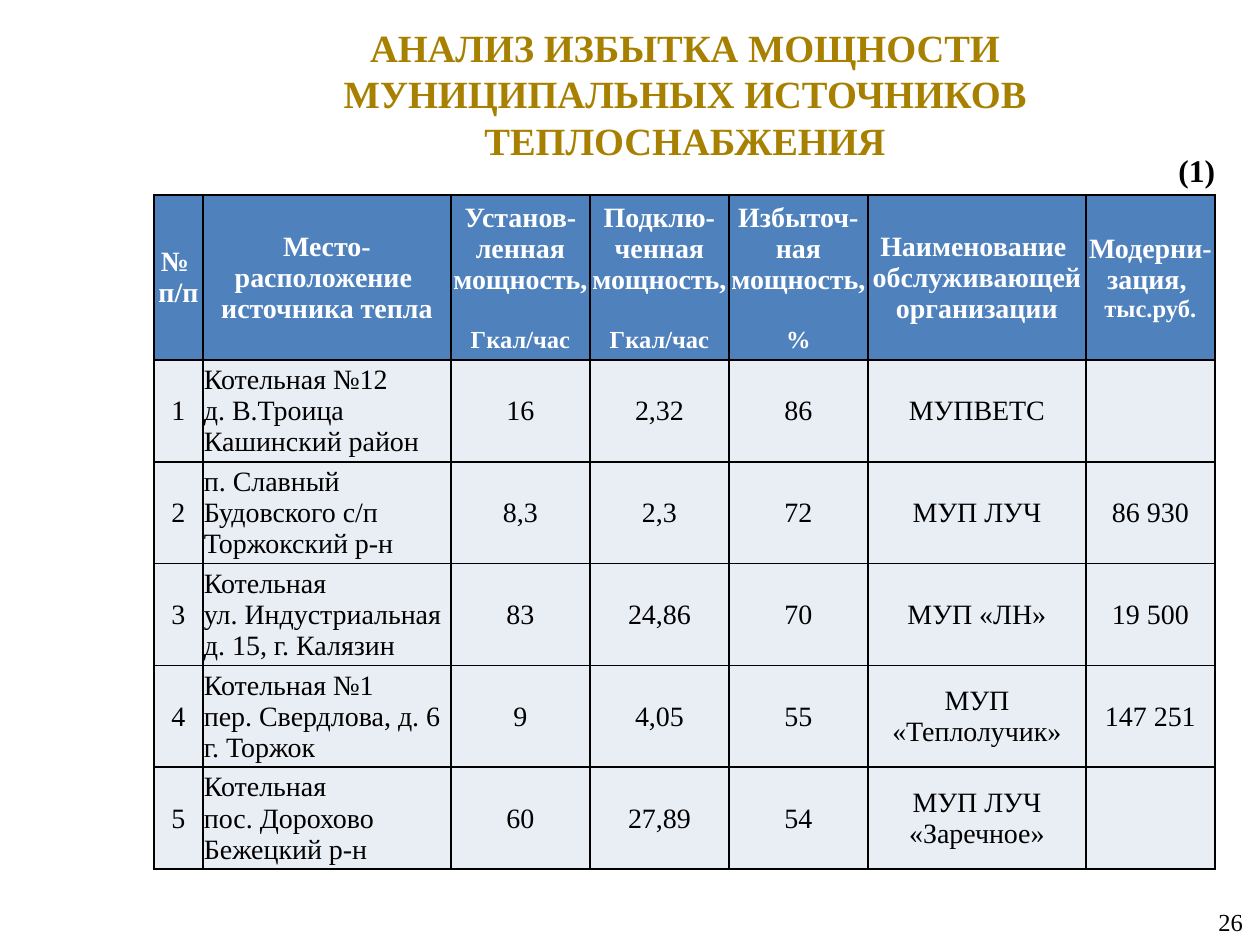
from dataclasses import dataclass

from lxml.etree import SubElement
from pptx import Presentation
from pptx.dml.color import RGBColor
from pptx.enum.text import MSO_ANCHOR as Anchor, PP_ALIGN as Align
from pptx.oxml.ns import qn
from pptx.util import Pt

PX = 914400 // 126


@dataclass(frozen=True)
class Theme:
    """Colours, type sizes and font of the slide."""
    font: str = "Times New Roman"
    ink: str = "000000"
    gold: str = "A88000"
    white: str = "FFFFFF"
    header: str = "4F81BD"
    body: str = "E9EDF4"
    title_size: int = 22
    part_size: int = 18
    cell_size: int = 16
    unit_size: int = 14


THEME = Theme()
TABLE_LEFT, TABLE_TOP = 154, 195
COL_WIDTHS = [49, 248, 139, 139, 139, 218, 129]
HEADER_HEIGHT, ROW_HEIGHT = 165, 101

HEADERS = [
    ("№ \nп/п", ""),
    ("Место-расположение \nисточника тепла", ""),
    ("Установ-ленная мощность, \n", "Гкал/час"),
    ("Подклю-ченная мощность, \n", "Гкал/час"),
    ("Избыточ-ная мощность, \n", "%"),
    ("Наименование \nобслуживающей организации", ""),
    ("Модерни-зация, \n", "тыс.руб."),
]
ROWS = [
    (["Котельная №12 \nд. В.Троица", "Кашинский район"],
     "16", "2,32", "86", "МУПВЕТС", ""),
    (["п. Славный \nБудовского с/п", "Торжокский р-н"],
     "8,3", "2,3", "72", "МУП ЛУЧ", "86 930"),
    (["Котельная", "ул. Индустриальная д. 15, г. Калязин"],
     "83", "24,86", "70", "МУП «ЛН»", "19 500"),
    (["Котельная №1 \nпер. Свердлова, д. 6", "г. Торжок"],
     "9", "4,05", "55", "МУП «Теплолучик»", "147 251"),
    (["Котельная", "пос. Дорохово", "Бежецкий р-н"],
     "60", "27,89", "54", "МУП ЛУЧ «Заречное»", ""),
]


def style(p, size, color, bold=False, align=Align.LEFT):
    """Set the alignment and font of a paragraph."""
    p.alignment = align
    p.font.name = THEME.font
    p.font.size = Pt(size)
    p.font.bold = bold
    p.font.color.rgb = RGBColor.from_string(color)


def add_label(slide, box, text, size, color, bold=False, align=Align.LEFT, anchor=Anchor.MIDDLE):
    """Add a text box with one paragraph."""
    tf = slide.shapes.add_textbox(*(v * PX for v in box)).text_frame
    tf.word_wrap = True
    tf.vertical_anchor = anchor
    p = tf.paragraphs[0]
    p.text = text
    style(p, size, color, bold, align)


def add_borders(cell):
    """Draw a thin line on all four sides of a cell."""
    tc_pr = cell._tc.get_or_add_tcPr()
    for i, side in enumerate(("lnL", "lnR", "lnT", "lnB")):
        ln = tc_pr.makeelement(qn(f"a:{side}"), {"w": str(Pt(1))})
        fill = SubElement(ln, qn("a:solidFill"))
        SubElement(fill, qn("a:srgbClr"), val=THEME.ink)
        tc_pr.insert(i, ln)


def fill_cell(cell, lines, fill, color, bold=False, align=Align.CENTER, unit=""):
    """Write paragraphs and an optional smaller unit into a cell."""
    cell.margin_left = cell.margin_right = cell.margin_top = PX
    cell.margin_bottom = 0
    cell.vertical_anchor = Anchor.MIDDLE
    cell.fill.solid()
    cell.fill.fore_color.rgb = RGBColor.from_string(fill)
    add_borders(cell)
    tf = cell.text_frame
    for i, line in enumerate(lines):
        p = tf.add_paragraph() if i else tf.paragraphs[0]
        p.text = line.replace("\n", "\v")
        style(p, THEME.cell_size, color, bold, align)
    if unit:
        r = p.add_run()
        r.text = unit
        r.font.size = Pt(THEME.unit_size)


def add_sources_table(slide):
    """Add the table of heat sources."""
    height = HEADER_HEIGHT + ROW_HEIGHT * len(ROWS)
    box = (TABLE_LEFT, TABLE_TOP, sum(COL_WIDTHS), height)
    table = slide.shapes.add_table(
        len(ROWS) + 1, len(COL_WIDTHS), *(v * PX for v in box)).table
    table.horz_banding = False
    for col, width in zip(table.columns, COL_WIDTHS):
        col.width = width * PX
    for i, row in enumerate(table.rows):
        row.height = (ROW_HEIGHT if i else HEADER_HEIGHT) * PX
    for c, (text, unit) in enumerate(HEADERS):
        fill_cell(table.cell(0, c), [text], THEME.header, THEME.white, True, unit=unit)
    for n, (place, *values) in enumerate(ROWS, 1):
        fill_cell(table.cell(n, 1), place, THEME.body, THEME.ink, align=Align.LEFT)
        for c, value in zip((0, 2, 3, 4, 5, 6), (str(n), *values)):
            fill_cell(table.cell(n, c), [value], THEME.body, THEME.ink)


def main():
    """Build and save the slide."""
    prs = Presentation()
    prs.slide_width, prs.slide_height = 1260 * PX, 945 * PX
    slide = prs.slides.add_slide(prs.slide_layouts[6])
    add_label(slide, (1206, 900, 59, 43), "26", THEME.unit_size, THEME.ink)
    add_sources_table(slide)
    add_label(slide, (1166, 145, 69, 50), "(1)", THEME.part_size, THEME.ink,
              True, Align.JUSTIFY, Anchor.TOP)
    add_label(slide, (174, 49, 1022, 89),
              "АНАЛИЗ ИЗБЫТКА МОЩНОСТИ МУНИЦИПАЛЬНЫХ ИСТОЧНИКОВ ТЕПЛОСНАБЖЕНИЯ",
              THEME.title_size, THEME.gold, True, Align.CENTER)
    prs.save("out.pptx")


if __name__ == "__main__":
    main()
